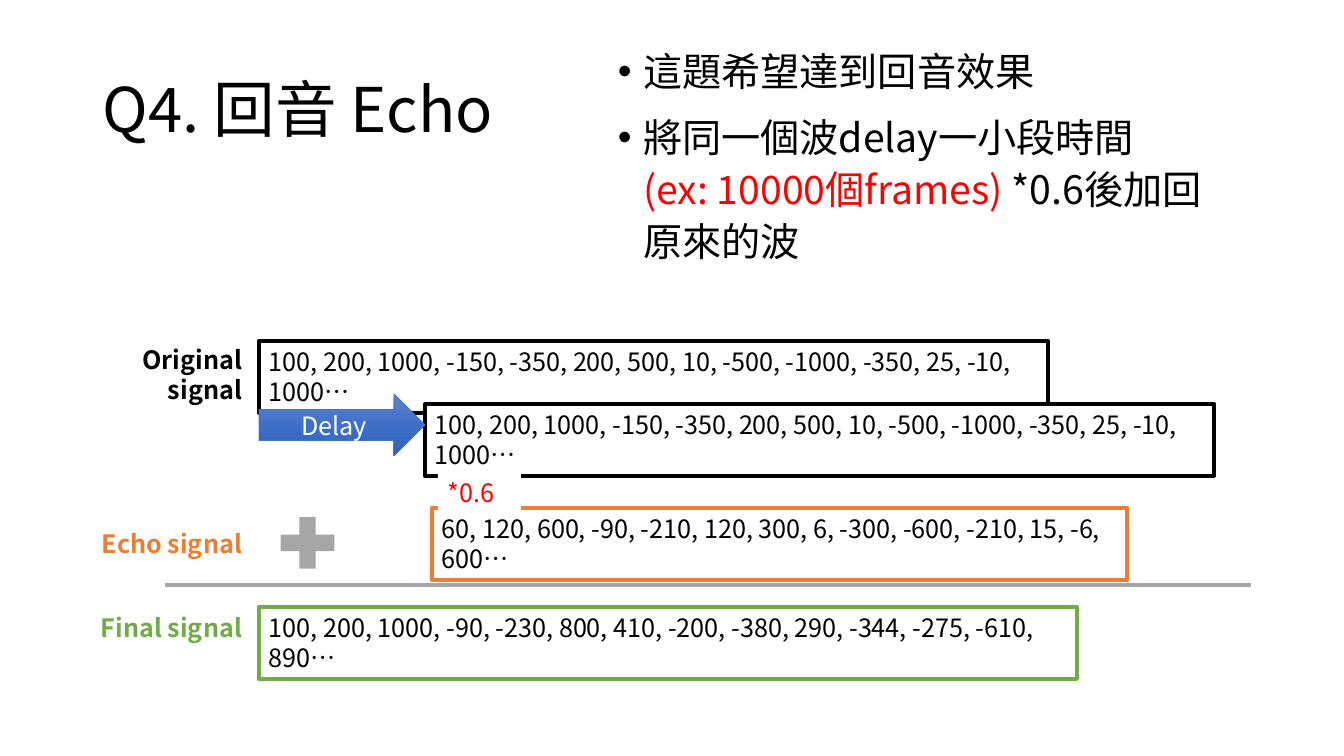
from copy import deepcopy

from lxml import etree
from pptx import Presentation, util as u
from pptx.dml.color import RGBColor
from pptx.enum import shapes, text
from pptx.oxml.ns import qn

PX = 914400 / 100.8
FONT = "Noto Sans CJK SC"
BLACK = RGBColor(0, 0, 0)
WHITE = RGBColor(255, 255, 255)
RED = RGBColor(255, 0, 0)
ORANGE = RGBColor(0xED, 0x7D, 0x31)
GREEN = RGBColor(0x70, 0xAD, 0x47)
GRAY = RGBColor(0xA6, 0xA6, 0xA6)
BLUE = RGBColor(0x44, 0x72, 0xC4)
BLUE_STOPS = [RGBColor(0x61, 0x83, 0xCB), RGBColor(0x3E, 0x70, 0xCA), RGBColor(0x30, 0x62, 0xBB)]

LEFT, ROW_HEIGHT = 259, 72
SIGNAL = "100, 200, 1000, -150, -350, 200, 500, 10, -500, -1000, -350, 25, -10, 1000…"
ECHO = "60, 120, 600, -90, -210, 120, 300, 6, -300, -600, -210, 15, -6, 600…"
FINAL = "100, 200, 1000, -90, -230, 800, 410, -200, -380, 290, -344, -275, -610, 890…"


def style(run, size, color, bold=False):
    run.font.size = u.Pt(size)
    run.font.bold = bold
    run.font.color.rgb = color
    run.font.name = FONT
    etree.SubElement(run._r.get_or_add_rPr(), qn("a:ea"), typeface=FONT)


def block(kind, box, words="", color=BLACK, size=18, bold=False, fill=None, line=None, width=3):
    place = [u.Emu(round(v * PX)) for v in box]
    if kind is None:
        part = slide.shapes.add_textbox(*place)
    else:
        part = slide.shapes.add_shape(kind, *place)
        part.shadow.inherit = False
        part.fill.solid()
        part.fill.fore_color.rgb = fill
        if line is None:
            part.line.fill.background()
        else:
            part.line.color.rgb = line
            part.line.width = u.Pt(width)
    frame = part.text_frame
    frame.word_wrap = True
    frame.vertical_anchor = text.MSO_ANCHOR.TOP
    if words:
        frame.text = words
        frame.paragraphs[0].alignment = text.PP_ALIGN.LEFT
        style(frame.paragraphs[0].runs[0], size, color, bold)
    return part


deck = Presentation()
deck.slide_width, deck.slide_height = u.Emu(round(1344 * PX)), u.Emu(round(756 * PX))
slide = deck.slides.add_slide(deck.slide_layouts[6])
RECT = shapes.MSO_SHAPE.RECTANGLE

title = block(None, (93, 40, 1159, 146), "Q4. 回音 Echo ", size=44)
title.text_frame.vertical_anchor = text.MSO_ANCHOR.MIDDLE
title.text_frame.paragraphs[0].line_spacing = 0.9

for left, top, width in [(LEFT, 341, 789), (425, 404, 789)]:
    block(RECT, (left, top, width, ROW_HEIGHT), SIGNAL, fill=WHITE, line=BLACK)

delay = block(shapes.MSO_SHAPE.RIGHT_ARROW, (LEFT, 394, 166, 62), "Delay", WHITE,
              fill=BLUE, line=BLUE, width=0.5)
delay.text_frame.vertical_anchor = text.MSO_ANCHOR.MIDDLE
delay.text_frame.paragraphs[0].alignment = text.PP_ALIGN.CENTER
delay.fill.gradient()
delay.fill.gradient_angle = 270
stop_list = delay._element.spPr.find(qn("a:gradFill")).find(qn("a:gsLst"))
stop_list.append(deepcopy(stop_list[0]))
for i, (stop, shade) in enumerate(zip(delay.fill.gradient_stops, BLUE_STOPS)):
    stop.position = i / 2
    stop.color.rgb = shade

block(RECT, (432, 508, 695, ROW_HEIGHT), ECHO, fill=WHITE, line=ORANGE)
block(RECT, (438, 472, 83, 40), "*0.6", RED, fill=WHITE)
block(RECT, (LEFT, 607, 818, ROW_HEIGHT), FINAL, fill=WHITE, line=GREEN)
block(shapes.MSO_SHAPE.MATH_PLUS, (271, 508, 73, 70), fill=GRAY)

goals = block(None, (608, 38, 619, 247)).text_frame
goal_lines = [
    [("這題希望達到回音效果", BLACK)],
    [("將同一個波delay一小段時間", BLACK), None,
     ("(ex: 10000個frames) ", RED), ("*0.6後加回原來的波", BLACK)],
]
for i, pieces in enumerate(goal_lines):
    goal = goals.add_paragraph() if i else goals.paragraphs[0]
    goal.line_spacing = 1.1
    goal.space_before = u.Pt(10)
    indent = u.Inches(0.25)
    props = goal._p.get_or_add_pPr()
    props.set("marL", str(indent))
    props.set("indent", str(-indent))
    etree.SubElement(props, qn("a:buFont"), typeface="Arial")
    etree.SubElement(props, qn("a:buChar"), char="•")
    for piece in pieces:
        if piece is None:
            goal.add_line_break()
        else:
            run = goal.add_run()
            run.text = piece[0]
            style(run, 28, piece[1])

sum_line = slide.shapes.add_connector(
    shapes.MSO_CONNECTOR.STRAIGHT, *[u.Emu(round(v * PX)) for v in (165, 585, 1251, 585)])
sum_line.line.color.rgb = GRAY
sum_line.line.width = u.Pt(3)
etree.SubElement(sum_line._element.spPr, qn("a:effectLst"))

for words, top, height, color in [
    ("Original signal", 339, 72, BLACK),
    ("Echo signal", 523, 40, ORANGE),
    ("Final signal", 607, 40, GREEN),
]:
    label = block(None, (80, top, 172, height), words, color, bold=True)
    label.text_frame.paragraphs[0].alignment = text.PP_ALIGN.RIGHT

deck.save("out.pptx")
